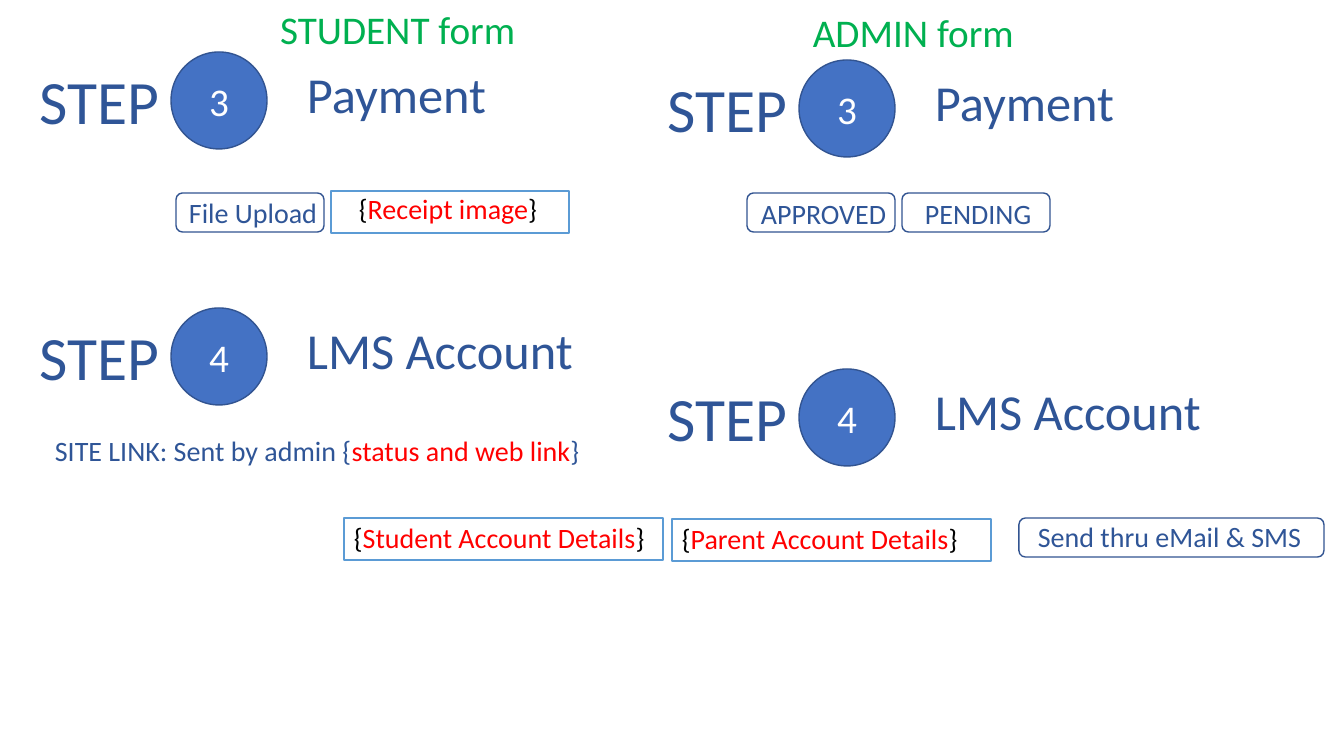
from dataclasses import dataclass

from pptx import Presentation
from pptx.dml.color import RGBColor
from pptx.enum.shapes import MSO_SHAPE
from pptx.enum.text import MSO_ANCHOR, MSO_AUTO_SIZE, PP_ALIGN
from pptx.shapes.autoshape import Shape
from pptx.slide import Slide
from pptx.util import Emu, Pt

EMU_PER_PX = 914400 / 100.8
FONT = "Calibri"

WHITE = RGBColor(0xFF, 0xFF, 0xFF)
BLACK = RGBColor(0x00, 0x00, 0x00)
RED = RGBColor(0xFF, 0x00, 0x00)
GREEN = RGBColor(0x00, 0xB0, 0x50)
NAVY = RGBColor(0x2F, 0x55, 0x97)
CIRCLE_BLUE = RGBColor(0x44, 0x72, 0xC4)
OUTLINE_BLUE = RGBColor(0x32, 0x54, 0x91)
FIELD_BLUE = RGBColor(0x5B, 0x9B, 0xD5)


@dataclass(frozen=True)
class Box:
    left: int
    top: int
    width: int
    height: int


@dataclass(frozen=True)
class Step:
    left: int
    top: int
    number: str
    name: str
    name_width: int


@dataclass(frozen=True)
class Button:
    outline: Box
    label_box: Box
    label: str
    wrap: bool = False


@dataclass(frozen=True)
class Field:
    outline: Box
    label_box: Box
    value: str
    wrap: bool = False


STEPS = [
    Step(171, 52, "3", "Payment", 201),
    Step(799, 60, "3", "Payment", 201),
    Step(171, 308, "4", "LMS Account", 289),
    Step(799, 369, "4", "LMS Account", 289),
]
BUTTONS = [
    Button(Box(176, 193, 148, 39), Box(179, 191, 150, 44), "File Upload"),
    Button(Box(747, 193, 148, 39), Box(751, 192, 147, 44), "APPROVED"),
    Button(Box(902, 193, 148, 39), Box(915, 192, 127, 44), "PENDING"),
    Button(Box(1019, 518, 305, 39), Box(1028, 515, 295, 44),
           "Send thru eMail & SMS", wrap=True),
]
FIELDS = [
    Field(Box(331, 191, 238, 42), Box(349, 187, 201, 44), "Receipt image"),
    Field(Box(344, 518, 319, 42), Box(344, 516, 319, 44),
          "Student Account Details", wrap=True),
    Field(Box(672, 519, 319, 42), Box(672, 517, 319, 44),
          "Parent Account Details", wrap=True),
]


def px(value: int) -> Emu:
    return Emu(round(value * EMU_PER_PX))


def place(box: Box) -> tuple[Emu, Emu, Emu, Emu]:
    return px(box.left), px(box.top), px(box.width), px(box.height)


def write(shape: Shape, size: int, pieces: list[tuple[str, RGBColor]],
          wrap: bool = False) -> None:
    frame = shape.text_frame
    frame.word_wrap = wrap
    frame.auto_size = MSO_AUTO_SIZE.SHAPE_TO_FIT_TEXT
    frame.vertical_anchor = MSO_ANCHOR.TOP
    paragraph = frame.paragraphs[0]
    paragraph.alignment = PP_ALIGN.LEFT
    paragraph.font.name = FONT
    paragraph.font.size = Pt(size)
    for text, color in pieces:
        run = paragraph.add_run()
        run.text = text
        run.font.color.rgb = color


def add_text(slide: Slide, box: Box, size: int,
             pieces: list[tuple[str, RGBColor]], wrap: bool = False) -> None:
    write(slide.shapes.add_textbox(*place(box)), size, pieces, wrap)


def add_outline(slide: Slide, kind: MSO_SHAPE, box: Box, line: RGBColor,
                fill: RGBColor = WHITE) -> Shape:
    shape = slide.shapes.add_shape(kind, *place(box))
    shape.shadow.inherit = False
    shape.fill.solid()
    shape.fill.fore_color.rgb = fill
    shape.line.color.rgb = line
    shape.line.width = Pt(1)
    return shape


def add_step(slide: Slide, step: Step) -> None:
    circle = add_outline(slide, MSO_SHAPE.OVAL, Box(step.left, step.top, 96, 97),
                         OUTLINE_BLUE, CIRCLE_BLUE)
    circle.text_frame.vertical_anchor = MSO_ANCHOR.MIDDLE
    paragraph = circle.text_frame.paragraphs[0]
    paragraph.text = step.number
    paragraph.alignment = PP_ALIGN.CENTER
    paragraph.font.name = FONT
    paragraph.font.size = Pt(28)
    paragraph.font.color.rgb = WHITE
    text_top = step.top + 6
    add_text(slide, Box(step.left - 141, text_top, 141, 85), 44, [("STEP", NAVY)])
    add_text(slide, Box(step.left + 126, text_top, step.name_width, 72), 36,
             [(step.name, NAVY)])


def add_button(slide: Slide, button: Button) -> None:
    add_outline(slide, MSO_SHAPE.ROUNDED_RECTANGLE, button.outline, OUTLINE_BLUE)
    add_text(slide, button.label_box, 20, [(button.label, NAVY)], button.wrap)


def add_field(slide: Slide, field: Field) -> None:
    add_outline(slide, MSO_SHAPE.RECTANGLE, field.outline, FIELD_BLUE)
    add_text(slide, field.label_box, 20,
             [("{", BLACK), (field.value, RED), ("}", BLACK)], field.wrap)


def main() -> None:
    presentation = Presentation()
    presentation.slide_width = px(1344)
    presentation.slide_height = px(756)
    slide = presentation.slides.add_slide(presentation.slide_layouts[5])

    # Form headings
    title = slide.shapes.title
    title.left, title.top, title.width, title.height = place(Box(270, 0, 258, 57))
    write(title, 28, [("STUDENT form", GREEN)])
    add_text(slide, Box(803, 3, 224, 57), 28, [("ADMIN form", GREEN)])

    # Numbered steps
    for step in STEPS:
        add_step(slide, step)

    # Buttons and data fields
    for button in BUTTONS:
        add_button(slide, button)
    for field in FIELDS:
        add_field(slide, field)

    # Site link note
    add_text(slide, Box(45, 429, 549, 44), 20,
             [("SITE LINK: Sent by admin {", NAVY),
              ("status and web link", RED), ("}", NAVY)])

    presentation.save("out.pptx")


if __name__ == "__main__":
    main()
